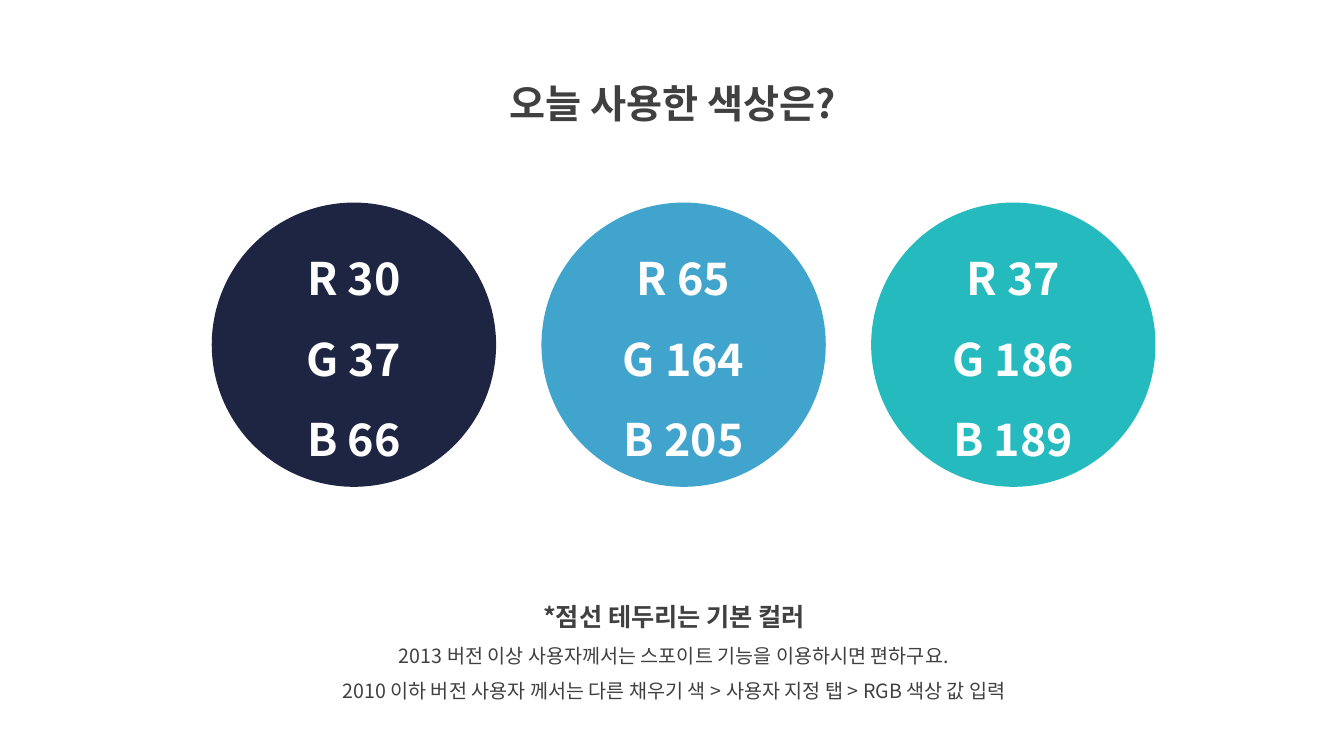
from dataclasses import dataclass

import pptx
import pptx.dml.color
import pptx.enum.shapes
import pptx.enum.text
import pptx.oxml.ns
import pptx.shapes.autoshape
import pptx.slide
import pptx.text.text
import pptx.util
from lxml import etree

Inches = pptx.util.Inches
RGBColor = pptx.dml.color.RGBColor

FONT = "Noto Sans CJK KR"
WHITE = RGBColor(255, 255, 255)
GRAY = RGBColor(64, 64, 64)
NAVY = RGBColor(30, 37, 66)
BLUE = RGBColor(65, 164, 205)
TEAL = RGBColor(37, 186, 189)

CIRCLE_LEFT, CIRCLE_TOP = 2.1, 2.01
CIRCLE_SIZE = 2.82
CIRCLE_STEP = 3.27


@dataclass(frozen=True)
class Line:
    text: str
    size: int
    bold: bool = True


@dataclass(frozen=True)
class Caption:
    left: float
    top: float
    width: float
    height: float
    lines: list[Line]


CAPTIONS = [
    Caption(4.36, 0.5, 4.63, 0.72, [Line("오늘 사용한 색상은?", 28)]),
    Caption(2.69, 5.77, 7.99, 1.26, [
        Line("*점선 테두리는 기본 컬러", 18),
        Line("2013 버전 이상 사용자께서는 스포이트 기능을 이용하시면 편하구요.", 14, False),
        Line("2010 이하 버전 사용자 께서는 다른 채우기 색 > 사용자 지정 탭 > RGB 색상 값 입력", 14, False),
    ]),
]


def write_lines(frame: pptx.text.text.TextFrame, lines: list[Line], color: RGBColor) -> None:
    frame.word_wrap = True
    for index, line in enumerate(lines):
        para = frame.add_paragraph() if index else frame.paragraphs[0]
        para.alignment = pptx.enum.text.PP_ALIGN.CENTER
        para.line_spacing = 1.5
        span = para.add_run()
        span.text = line.text
        span.font.size = pptx.util.Pt(line.size)
        span.font.bold = line.bold
        span.font.color.rgb = color
        span.font.name = FONT
        # Korean letters take their typeface from a:ea
        properties = span.font._element
        etree.SubElement(properties, pptx.oxml.ns.qn("a:ea"), typeface=FONT)


def add_caption(page: pptx.slide.Slide, caption: Caption) -> None:
    box = page.shapes.add_textbox(Inches(caption.left), Inches(caption.top),
                                  Inches(caption.width), Inches(caption.height))
    write_lines(box.text_frame, caption.lines, GRAY)
    box.text_frame.auto_size = pptx.enum.text.MSO_AUTO_SIZE.SHAPE_TO_FIT_TEXT


def add_swatch(page: pptx.slide.Slide, left: float, color: RGBColor) -> None:
    """Draw a circle labelled with the channel values of its own fill."""
    circle = page.shapes.add_shape(pptx.enum.shapes.MSO_SHAPE.OVAL, Inches(left), Inches(CIRCLE_TOP),
                                   Inches(CIRCLE_SIZE), Inches(CIRCLE_SIZE))
    circle.shadow.inherit = False
    circle.fill.solid()
    circle.fill.fore_color.rgb = color
    circle.line.fill.background()
    circle.text_frame.vertical_anchor = pptx.enum.text.MSO_ANCHOR.MIDDLE
    channels = [Line(f"{channel} {value}", 32) for channel, value in zip("RGB", color)]
    write_lines(circle.text_frame, channels, WHITE)


def main() -> None:
    deck = pptx.Presentation()
    deck.slide_width, deck.slide_height = Inches(13.33), Inches(7.5)
    page = deck.slides.add_slide(deck.slide_layouts[6])
    for caption in CAPTIONS:
        add_caption(page, caption)
    for index, color in enumerate([NAVY, BLUE, TEAL]):
        add_swatch(page, CIRCLE_LEFT + index * CIRCLE_STEP, color)
    deck.save("out.pptx")


if __name__ == "__main__":
    main()
